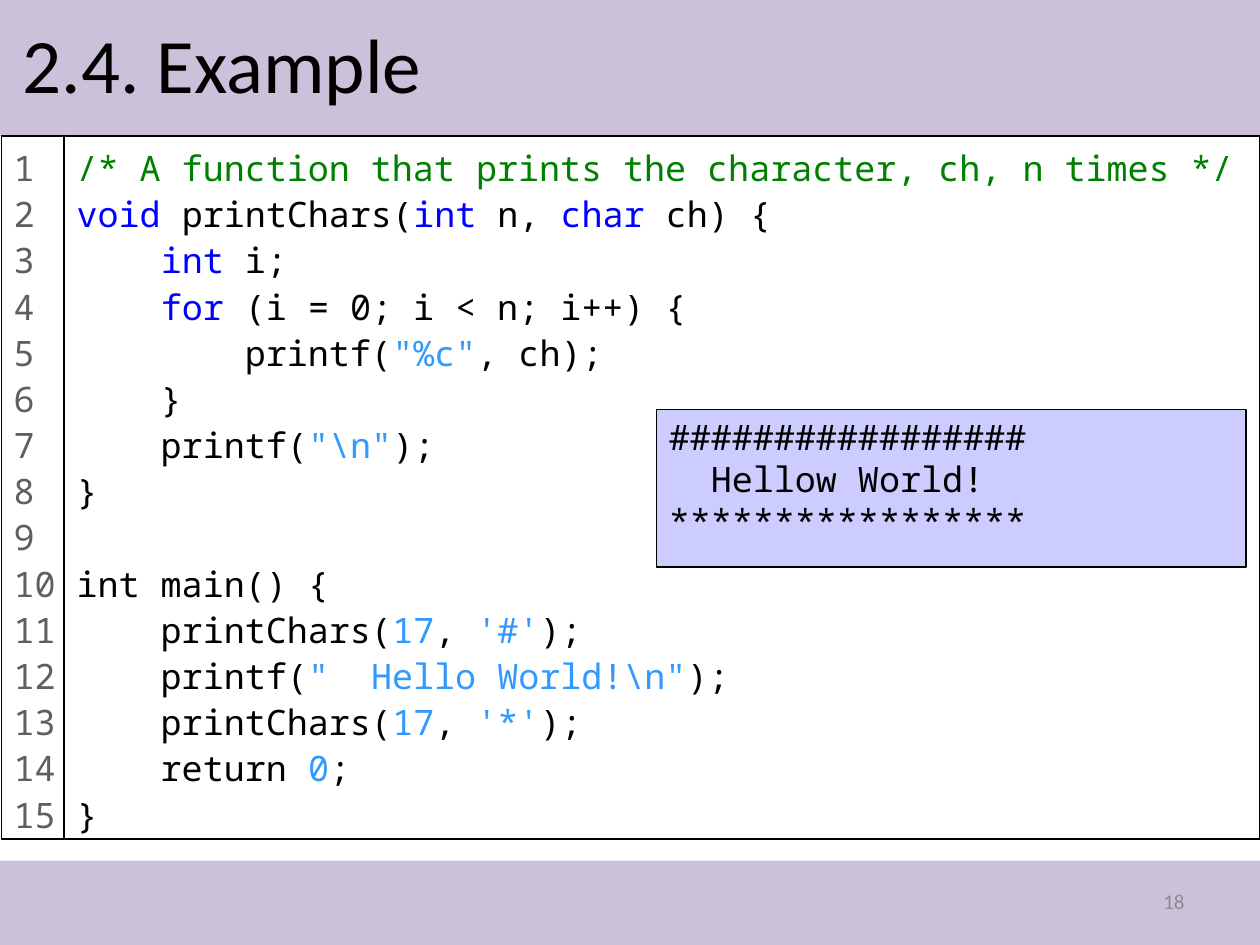
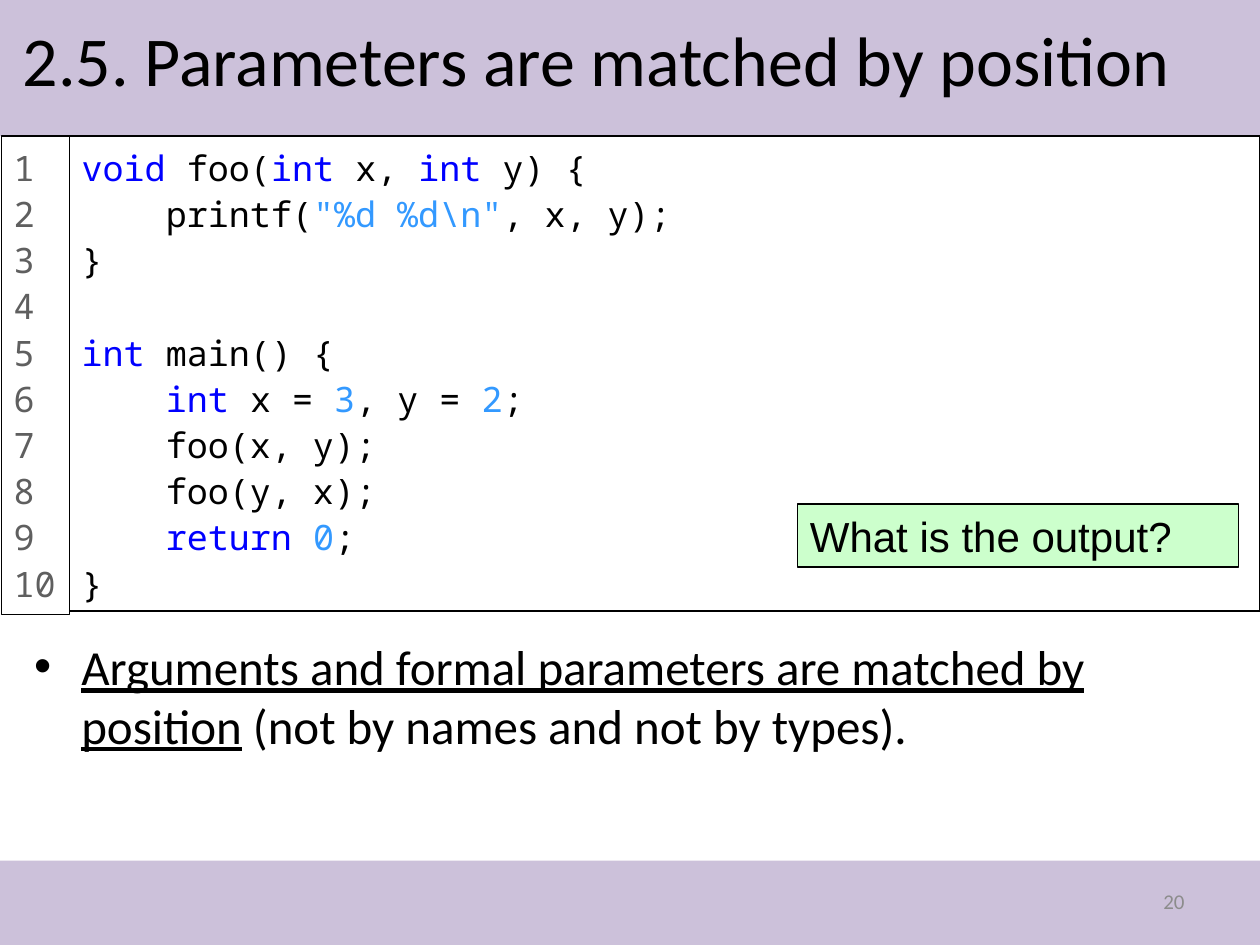
import pptx
import pptx.dml.color
import pptx.enum.shapes
import pptx.enum.text
import pptx.util
from dataclasses import dataclass
from pptx.util import Inches


@dataclass(frozen=True)
class Theme:
    # Colours
    band: str = "CCC1DA"
    paper: str = "FFFFFF"
    ink: str = "000000"
    line_number: str = "5F5F5F"
    page_number: str = "8C8C8C"
    comment: str = "008000"
    keyword: str = "0000FF"
    literal: str = "3399FF"
    output: str = "CCCCFF"
    question: str = "CCFFCC"
    # Fonts
    heading_font: str = "Calibri"
    code_font: str = "Noto Sans Mono"
    note_font: str = "Arial"
    # Type sizes and line width in points
    title_size: int = 44
    long_title_size: int = 40
    body_size: int = 28
    note_size: int = 24
    code_size: int = 20
    page_size: int = 12
    border: float = 0.75
    # Shared layout
    code_top: float = 1.08
    code_spacing: float = 1.1


KEYWORDS = {"void", "int", "char", "for", "return"}

# A bar separates differently coloured parts of a code line
PRINT_CHARS = """\
/* A function that prints the character, ch, n times */
void| printChars(|int| n, |char| ch) {
    |int| i;
    |for| (i = 0; i < n; i++) {
        printf(|"%c"|, ch);
    }
    printf(|"\\n"|);
}

int main() {
    printChars(|17|, |'#'|);
    printf(|"  Hello World!\\n"|);
    printChars(|17|, |'*'|);
    return |0|;
}"""

MATCHED_BY_POSITION = """\
void| foo(|int| x, |int| y) {
    printf(|"%d %d\\n"|, x, y);
}

int| main() {
    |int| x = |3|, y = |2|;
    foo(x, y);
    foo(y, x);
    |return| |0|;
}"""

PRINTED = ["#################", "  Hellow World!", "*****************"]


class Deck:
    def __init__(self, theme):
        self.theme = theme
        self.prs = pptx.Presentation()
        self.prs.slide_width = Inches(10)
        self.prs.slide_height = Inches(7.5)
        self.slide = None

    @staticmethod
    def rgb(colour):
        return pptx.dml.color.RGBColor.from_string(colour)

    def style(self, paragraph, font, size, colour):
        paragraph.font.name = font
        paragraph.font.size = pptx.util.Pt(size)
        paragraph.font.color.rgb = self.rgb(colour)

    def place(self, shape, left, top, width, height):
        shape.left, shape.top = Inches(left), Inches(top)
        shape.width, shape.height = Inches(width), Inches(height)

    # Slide with title and page number
    def new_slide(self, layout, title, size, page):
        theme = self.theme
        self.slide = self.prs.slides.add_slide(
            self.prs.slide_layouts.get_by_name(layout))
        heading = self.slide.shapes.title
        self.place(heading, 0.08, 0.08, 9.84, 0.92)
        frame = heading.text_frame
        frame.text = title
        frame.auto_size = pptx.enum.text.MSO_AUTO_SIZE.NONE
        frame.vertical_anchor = pptx.enum.text.MSO_ANCHOR.TOP
        frame.paragraphs[0].alignment = pptx.enum.text.PP_ALIGN.LEFT
        self.style(frame.paragraphs[0], theme.heading_font, size, theme.ink)

        number = self.slide.shapes.add_textbox(
            Inches(7.17), Inches(6.95), Inches(2.33), Inches(0.4)).text_frame
        number.word_wrap = True
        number.vertical_anchor = pptx.enum.text.MSO_ANCHOR.MIDDLE
        number.text = str(page)
        number.paragraphs[0].alignment = pptx.enum.text.PP_ALIGN.RIGHT
        self.style(number.paragraphs[0], theme.heading_font,
                   theme.page_size, theme.page_number)

    # Plain rectangle, outlined on request
    def box(self, left, top, width, height, fill, outlined=True):
        shape = self.slide.shapes.add_shape(
            pptx.enum.shapes.MSO_SHAPE.RECTANGLE,
            Inches(left), Inches(top), Inches(width), Inches(height))
        shape.shadow.inherit = False
        shape.fill.solid()
        shape.fill.fore_color.rgb = self.rgb(fill)
        if outlined:
            shape.line.color.rgb = self.rgb(self.theme.ink)
            shape.line.width = pptx.util.Pt(self.theme.border)
        else:
            shape.line.fill.background()
        return shape

    # Outlined rectangle with one paragraph per line of text
    def text_box(self, left, top, width, height, fill, lines, font, size,
                 colour=None, spacing=None):
        frame = self.box(left, top, width, height, fill).text_frame
        frame.word_wrap = True
        frame.vertical_anchor = pptx.enum.text.MSO_ANCHOR.TOP
        for index, line in enumerate(lines):
            paragraph = frame.add_paragraph() if index else frame.paragraphs[0]
            paragraph.alignment = pptx.enum.text.PP_ALIGN.LEFT
            paragraph.line_spacing = spacing
            self.style(paragraph, font, size, colour or self.theme.ink)
            for part in line.split("|"):
                if part:
                    run = paragraph.add_run()
                    run.text = part
                    accent = self.code_colour(part)
                    if accent:
                        run.font.color.rgb = self.rgb(accent)
                        run.font.name = font
        return frame

    def code_colour(self, part):
        if part in KEYWORDS:
            return self.theme.keyword
        if part.startswith("/*"):
            return self.theme.comment
        if part[0] in "\"'" or part.isdigit():
            return self.theme.literal
        return None

    # Code listing with its column of line numbers
    def code(self, source, left, height, numbers_height):
        theme = self.theme
        lines = source.split("\n")
        self.text_box(left, theme.code_top, 10 - left, height, theme.paper,
                      lines, theme.code_font, theme.code_size,
                      spacing=theme.code_spacing)
        numbers = self.text_box(
            0.01, theme.code_top, left - 0.01, numbers_height, theme.paper,
            ["" for _ in lines], theme.code_font, theme.code_size,
            theme.line_number, theme.code_spacing)
        numbers.margin_right = 0
        for number, paragraph in enumerate(numbers.paragraphs, 1):
            paragraph.add_run().text = str(number)

    # Bullet made of (text, underlined) parts
    def bullet(self, parts):
        body = self.slide.placeholders[1]
        self.place(body, 0.17, 5, 9.67, 1.67)
        body.text_frame.auto_size = pptx.enum.text.MSO_AUTO_SIZE.NONE
        paragraph = body.text_frame.paragraphs[0]
        self.style(paragraph, self.theme.heading_font,
                   self.theme.body_size, self.theme.ink)
        for text, underlined in parts:
            run = paragraph.add_run()
            run.text = text
            run.font.underline = underlined

    # Top and bottom bands, moved to the back of the slide master
    def master_bands(self):
        master = self.prs.slide_master.shapes.element
        for band_id, (top, height) in enumerate([(0, 1.08), (6.83, 0.67)], 100):
            band = self.box(0, top, 10, height, self.theme.band, outlined=False)
            band.element.nvSpPr.cNvPr.set("id", str(band_id))
            master.insert(2, band.element)


def main():
    theme = Theme()
    deck = Deck(theme)

    # Example program and what it prints
    deck.new_slide("Title Only", "2.4. Example", theme.title_size, 18)
    deck.code(PRINT_CHARS, 0.51, 5.58, 5.58)
    deck.text_box(5.21, 3.25, 4.68, 1.25, theme.output, PRINTED,
                  theme.code_font, theme.code_size)

    # Parameter matching
    deck.new_slide("Title and Content", "2.5. Parameters are matched by position",
                   theme.long_title_size, 20)
    deck.code(MATCHED_BY_POSITION, 0.55, 3.77, 3.8)
    deck.bullet([("Arguments and formal parameters are matched by", True),
                 (" ", False), ("position", True),
                 (" (not by names and not by types).", False)])
    deck.text_box(6.33, 4, 3.5, 0.5, theme.question, ["What is the output?"],
                  theme.note_font, theme.note_size)

    deck.master_bands()
    deck.prs.save("out.pptx")


if __name__ == "__main__":
    main()
